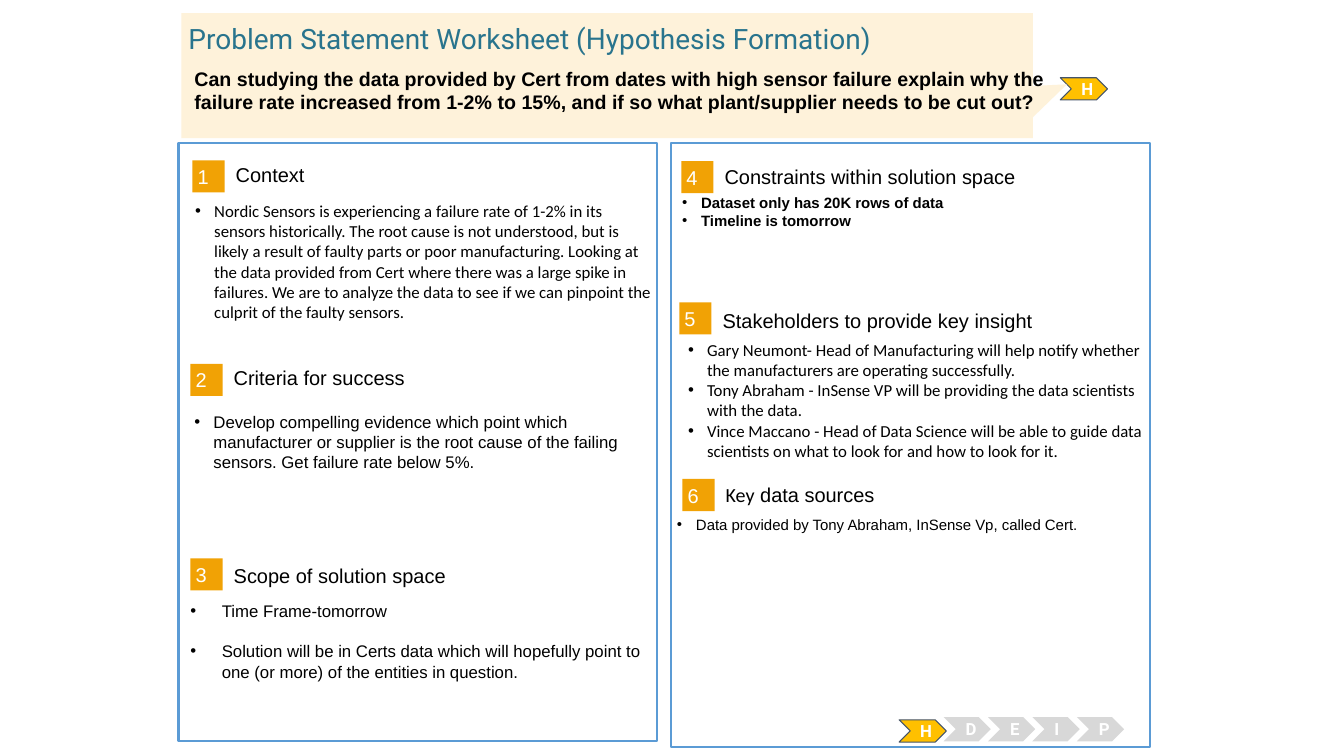
"""Build the problem statement worksheet slide."""
from dataclasses import dataclass

from lxml import etree
from pptx import Presentation
from pptx.dml.color import RGBColor
from pptx.enum.shapes import MSO_SHAPE
from pptx.enum.text import MSO_ANCHOR, PP_ALIGN
from pptx.oxml.ns import qn
from pptx.util import Cm, Pt

RECTANGLE = MSO_SHAPE.RECTANGLE
CHEVRON = MSO_SHAPE.CHEVRON
CALLOUT = MSO_SHAPE.RECTANGULAR_CALLOUT
TOP, MIDDLE = MSO_ANCHOR.TOP, MSO_ANCHOR.MIDDLE
LEFT, CENTER = PP_ALIGN.LEFT, PP_ALIGN.CENTER


@dataclass(frozen=True)
class Theme:
    """Colours, fonts and type sizes of the slide."""
    white: str = "FFFFFF"
    text: str = "000000"
    title: str = "29748D"
    panel_line: str = "5B9BD5"
    badge: str = "F1A205"
    banner: str = "FEF2DA"
    active: str = "FFC000"
    active_line: str = "44546A"
    inactive: str = "D8D8D8"
    sans: str = "Arial"
    body: str = "Calibri"
    display: str = "Roboto"
    title_size: float = 20
    question_size: float = 14
    heading_size: float = 14.3
    body_size: float = 12
    small_size: float = 10.7


@dataclass(frozen=True)
class Section:
    """One numbered section; lengths in centimetres."""
    number: str
    heading: tuple
    badge: tuple
    heading_top: float
    details_box: tuple
    details: tuple
    font: str
    size: float
    bold: bool = False
    indent: float = 0.48
    gap: float = 0


THEME = Theme()
TITLE = "Problem Statement Worksheet (Hypothesis Formation)"
QUESTION = ("Can studying the data provided by Cert from dates with high sensor failure "
            "explain why the failure rate increased from 1-2% to 15%, and if so what "
            "plant/supplier needs to be cut out?")
BADGE_SIDE = 0.81
HEADING_OFFSET = 1.09
DETAILS_WIDTH = 12.01
STAGES = "HDEIP"
STAGE_LEFT, STAGE_STEP = 22.66, 1.12
STAGE_WIDTH = 1.19
ACTIVE_HEIGHT, INACTIVE_HEIGHT = 0.56, 0.61

SECTIONS = (
    Section("1", ("Context",), (4.85, 4.04), 4.09, (4.67, 4.93, 3.45), (
        "Nordic Sensors is experiencing a failure rate of 1-2% in its sensors "
        "historically. The root cause is not understood, but is likely a result of "
        "faulty parts or poor manufacturing. Looking at the data provided from Cert "
        "where there was a large spike in failures. We are to analyze the data to see "
        "if we can pinpoint the culprit of the faulty sensors.",
    ), THEME.body, THEME.body_size),
    Section("2", ("Criteria for success",), (4.8, 9.17), 9.19, (4.65, 10.24, 3.91), (
        "Develop compelling evidence which point which manufacturer or supplier is the "
        "root cause of the failing sensors. Get failure rate below 5%.",
    ), THEME.sans, THEME.body_size),
    Section("3", ("Scope of solution space",), (4.8, 14.07), 14.17, (4.55, 15.01, 3.23), (
        "Time Frame-tomorrow",
        "Solution will be in Certs data which will hopefully point to one (or more) of "
        "the entities in question.",
    ), THEME.sans, THEME.body_size, indent=0.79, gap=14.4),
    Section("4", ("Constraints within solution space",), (17.17, 4.06), 4.14,
            (16.94, 4.75, 3), (
        "Dataset only has 20K rows of data",
        "Timeline is tomorrow",
    ), THEME.sans, THEME.small_size, bold=True),
    Section("5", ("Stakeholders to provide key insight",), (17.12, 7.62), 7.75,
            (17.09, 8.43, 3.4), (
        "Gary Neumont- Head of Manufacturing will help notify whether the manufacturers "
        "are operating successfully.",
        "Tony Abraham - InSense VP will be providing the data scientists with the data.",
        "Vince Maccano - Head of Data Science will be able to guide data scientists on "
        "what to look for and how to look for it.",
    ), THEME.body, THEME.body_size),
    Section("6", ("Key", " data sources"), (17.2, 12.07), 12.14, (16.81, 12.85, 3), (
        "Data provided by Tony Abraham, InSense Vp, called Cert.",
    ), THEME.sans, THEME.small_size),
)


def set_font(font, name, size, color, bold=False):
    """Apply a typeface, size, colour and weight."""
    font.name, font.size, font.bold = name, Pt(size), bold
    font.color.rgb = RGBColor.from_string(color)


def set_frame(frame, anchor, side=0.0, edge=0.0):
    """Set wrapping, anchor and insets of a text frame."""
    frame.word_wrap = True
    frame.vertical_anchor = anchor
    frame.margin_left = frame.margin_right = Cm(side)
    frame.margin_top = frame.margin_bottom = Cm(edge)


def add_block(slide, kind, box, fill, line=None, line_width=0.75):
    """Add a flat preset shape."""
    block = slide.shapes.add_shape(kind, *map(Cm, box))
    block.shadow.inherit = False
    block.fill.solid()
    block.fill.fore_color.rgb = RGBColor.from_string(fill)
    if line:
        block.line.color.rgb = RGBColor.from_string(line)
        block.line.width = Pt(line_width)
    else:
        block.line.fill.background()
    return block


def add_label(slide, box, text, anchor, font, size, color, bold=False, side=0.0, edge=0.0):
    """Add a text box with one paragraph and return that paragraph."""
    frame = slide.shapes.add_textbox(*map(Cm, box)).text_frame
    set_frame(frame, anchor, side, edge)
    label = frame.paragraphs[0]
    label.text = text
    set_font(label.font, font, size, color, bold)
    return label


def add_bullet(paragraph, indent):
    """Give a paragraph a hanging round bullet."""
    properties = paragraph._p.get_or_add_pPr()
    properties.set("marL", str(Cm(indent)))
    properties.set("indent", str(-Cm(indent)))
    etree.SubElement(properties, qn("a:buFont")).set("typeface", THEME.sans)
    etree.SubElement(properties, qn("a:buChar")).set("char", "•")


def add_details(slide, section):
    """Add the bulleted details of a section."""
    left, top, height = section.details_box
    box = (left, top, DETAILS_WIDTH, height)
    frame = slide.shapes.add_textbox(*map(Cm, box)).text_frame
    set_frame(frame, TOP, 0.25, 0.13)
    for index, detail in enumerate(section.details):
        bullet = frame.add_paragraph() if index else frame.paragraphs[0]
        bullet.text = detail
        if index and section.gap:
            bullet.space_before = Pt(section.gap)
        add_bullet(bullet, section.indent)
        set_font(bullet.font, section.font, section.size, THEME.text, section.bold)


def add_section(slide, section):
    """Add the badge, heading and details of a section."""
    left, top = section.badge
    badge = add_block(slide, RECTANGLE, (left, top, BADGE_SIDE, BADGE_SIDE), THEME.badge)
    set_frame(badge.text_frame, MIDDLE, 0.13, 0.13)
    number = badge.text_frame.paragraphs[0]
    number.text, number.alignment = section.number, LEFT
    set_font(number.font, THEME.sans, THEME.heading_size, THEME.white)

    first, *rest = section.heading
    heading = add_label(slide, (left + HEADING_OFFSET, section.heading_top, 9.98, 0.64),
                        first, MIDDLE, THEME.sans, THEME.heading_size, THEME.text)
    for part in rest:
        heading.runs[0].font.name = THEME.body
        heading.add_run().text = part
    add_details(slide, section)


def add_stage(slide, letter, left, top, active):
    """Add a stage chevron, highlighted when active."""
    height = ACTIVE_HEIGHT if active else INACTIVE_HEIGHT
    stage = add_block(slide, CHEVRON, (left, top, STAGE_WIDTH, height),
                      THEME.active if active else THEME.inactive,
                      THEME.active_line if active else None)
    set_frame(stage.text_frame, MIDDLE, 0.25, 0.13)
    initial = stage.text_frame.paragraphs[0]
    initial.text, initial.alignment = letter, CENTER
    set_font(initial.font, THEME.display, THEME.body_size, THEME.white, True)


def main():
    """Build and save the slide."""
    deck = Presentation()
    deck.slide_width, deck.slide_height = Cm(33.87), Cm(19.05)
    slide = deck.slides.add_slide(deck.slide_layouts[6])
    for left, height in ((4.5, 15.06), (16.92, 15.21)):
        add_block(slide, RECTANGLE, (left, 3.61, 12.07, height), THEME.white,
                  THEME.panel_line, 1.5)
    for section in SECTIONS:
        add_section(slide, section)
    for index, letter in enumerate(STAGES):
        add_stage(slide, letter, STAGE_LEFT + index * STAGE_STEP,
                  18.07 if index else 18.14, index == 0)
    add_stage(slide, STAGES[0], 26.72, 1.96, True)
    banner = add_block(slide, CALLOUT, (4.57, 0.33, 21.46, 3.15), THEME.banner)
    banner.adjustments[0], banner.adjustments[1] = 0.54, 0.07
    add_label(slide, (4.75, 0.53, 24.43, 0.86), TITLE, TOP,
              THEME.display, THEME.title_size, THEME.title)
    add_label(slide, (4.65, 1.55, 22.96, 1.37), QUESTION, TOP, THEME.sans,
              THEME.question_size, THEME.text, True, 0.25, 0.13)
    deck.save("out.pptx")


if __name__ == "__main__":
    main()
